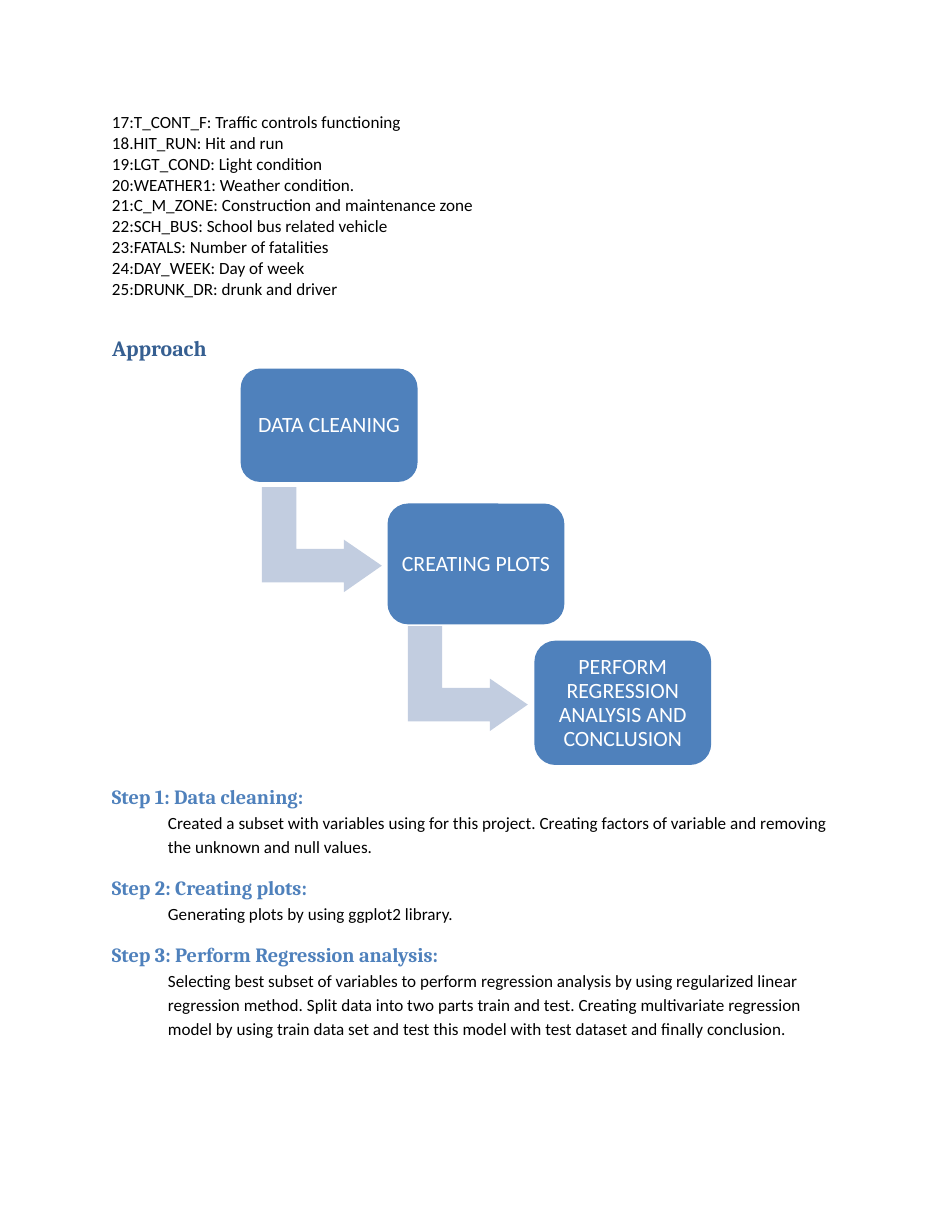
from dataclasses import dataclass

from pptx import Presentation, util as u
from pptx.dml.color import RGBColor
from pptx.enum import shapes, text


@dataclass(frozen=True)
class Theme:
    """Colours, fonts and type sizes of the page."""
    ink: str = "000000"
    heading: str = "365F91"
    accent: str = "4F81BC"
    arrow: str = "C2CDE0"
    white: str = "FFFFFF"
    body_font: str = "Calibri"
    head_font: str = "Cambria"
    body_size: float = 11
    step_size: float = 13
    title_size: float = 14
    box_size: float = 14


class PageBuilder:
    """Draws styled elements on the current page."""

    def __init__(self, theme, page):
        self.theme = theme
        self.page = page

    def style(self, para, font, size, color, bold=False):
        """Format every run of a paragraph."""
        for span in para.runs:
            span.font.name = font
            span.font.size = u.Pt(size)
            span.font.bold = bold
            span.font.color.rgb = RGBColor.from_string(color)

    def frame(self, box, anchor=text.MSO_ANCHOR.TOP):
        """Clear the margins of a box and return its text frame."""
        frame = box.text_frame
        frame.margin_left = frame.margin_right = 0
        frame.margin_top = frame.margin_bottom = 0
        frame.word_wrap = True
        frame.auto_size = text.MSO_AUTO_SIZE.NONE
        frame.vertical_anchor = anchor
        return frame

    def text_box(self, left, top, width, height):
        """Add an empty text box and return its text frame."""
        return self.frame(self.page.shapes.add_textbox(
            u.Cm(left), u.Cm(top), u.Cm(width), u.Cm(height)))

    def title(self, words, left, top, width, height):
        """Place and format the title placeholder."""
        box = self.page.shapes.title
        box.left, box.top = u.Cm(left), u.Cm(top)
        box.width, box.height = u.Cm(width), u.Cm(height)
        frame = self.frame(box)
        frame.text = words
        para = frame.paragraphs[0]
        para.alignment = text.PP_ALIGN.LEFT
        self.style(para, self.theme.head_font, self.theme.title_size,
                   self.theme.heading, bold=True)

    def listing(self, lines, left, top, width, height):
        """Add one paragraph per line."""
        frame = self.text_box(left, top, width, height)
        frame.text = "\n".join(lines)
        for para in frame.paragraphs:
            para.line_spacing = u.Pt(13.4)
            self.style(para, self.theme.body_font, self.theme.body_size, self.theme.ink)

    def steps(self, steps, left, top, width, height):
        """Add headed steps with indented descriptions."""
        frame = self.text_box(left, top, width, height)
        frame.text = "\n".join(words for step in steps for words in step)
        for index, para in enumerate(frame.paragraphs):
            para.line_spacing = u.Pt(15.5)
            if index % 2 == 0:
                para.space_before = u.Pt(12 if index else 0)
                self.style(para, self.theme.head_font, self.theme.step_size,
                           self.theme.accent, bold=True)
            else:
                para.space_before = u.Pt(0)
                para._p.get_or_add_pPr().set("marL", str(u.Cm(1.27)))
                self.style(para, self.theme.body_font, self.theme.body_size, self.theme.ink)

    def stage(self, words, left, top, width, height):
        """Add a rounded box with a centred label."""
        box = self.page.shapes.add_shape(
            shapes.MSO_SHAPE.ROUNDED_RECTANGLE,
            u.Cm(left), u.Cm(top), u.Cm(width), u.Cm(height))
        box.adjustments[0] = 0.17
        self.paint(box, self.theme.accent)
        frame = self.frame(box, text.MSO_ANCHOR.MIDDLE)
        frame.text = words
        para = frame.paragraphs[0]
        para.alignment = text.PP_ALIGN.CENTER
        para.line_spacing = u.Pt(15.4)
        self.style(para, self.theme.body_font, self.theme.box_size, self.theme.white)

    def elbow_arrow(self, left, top):
        """Add a block arrow that goes down and then right."""
        corners = [(0, 2.16), (1.86, 2.16), (1.86, 2.38), (2.72, 1.78),
                   (1.86, 1.19), (1.86, 1.4), (0.78, 1.4), (0.78, 0)]
        builder = self.page.shapes.build_freeform(u.Cm(left), u.Cm(top))
        builder.add_line_segments([(u.Cm(left + x), u.Cm(top + y)) for x, y in corners])
        self.paint(builder.convert_to_shape(), self.theme.arrow)

    def paint(self, shape, color):
        """Give a shape a flat fill without line or shadow."""
        shape.shadow.inherit = False
        shape.fill.solid()
        shape.fill.fore_color.rgb = RGBColor.from_string(color)
        shape.line.fill.background()


VARIABLES = [
    "17:T_CONT_F: Traffic controls functioning",
    "18.HIT_RUN: Hit and run",
    "19:LGT_COND: Light condition",
    "20:WEATHER1: Weather condition.",
    "21:C_M_ZONE: Construction and maintenance zone",
    "22:SCH_BUS: School bus related vehicle",
    "23:FATALS: Number of fatalities",
    "24:DAY_WEEK: Day of week",
    "25:DRUNK_DR: drunk and driver",
]
STAGES = [
    ("DATA CLEANING", 8.36, 2.57),
    ("CREATING PLOTS", 11.42, 2.74),
    ("PERFORM\vREGRESSION\vANALYSIS AND\vCONCLUSION", 14.53, 2.82),
]
STEPS = [
    ("Step 1: Data cleaning:",
     "Created a subset with variables using for this project. Creating factors of "
     "variable and removing\vthe unknown and null values."),
    ("Step 2: Creating plots:",
     "Generating plots by using ggplot2 library."),
    ("Step 3: Perform Regression analysis:",
     "Selecting best subset of variables to perform regression analysis by using "
     "regularized linear\vregression method. Split data into two parts train and test. "
     "Creating multivariate regression\vmodel by using train data set and test this "
     "model with test dataset and finally conclusion."),
]


def main():
    """Build the page and save it."""
    deck = Presentation()
    deck.slide_width, deck.slide_height = u.Cm(21.59), u.Cm(27.94)
    builder = PageBuilder(Theme(), deck.slides.add_slide(deck.slide_layouts[5]))
    margin = 2.54
    builder.listing(VARIABLES, margin, 2.52, 9, 4.4)
    builder.title("Approach", margin, 7.6, 8, 0.65)
    for index in range(2):
        builder.elbow_arrow(5.94 + 3.31 * index, 11.05 + 3.15 * index)
    for index, (words, top, height) in enumerate(STAGES):
        builder.stage(words, 5.46 + 3.33 * index, top, 4.01, height)
    builder.steps(STEPS, margin, 17.8, 16.8, 5.9)
    deck.save("out.pptx")


if __name__ == "__main__":
    main()
